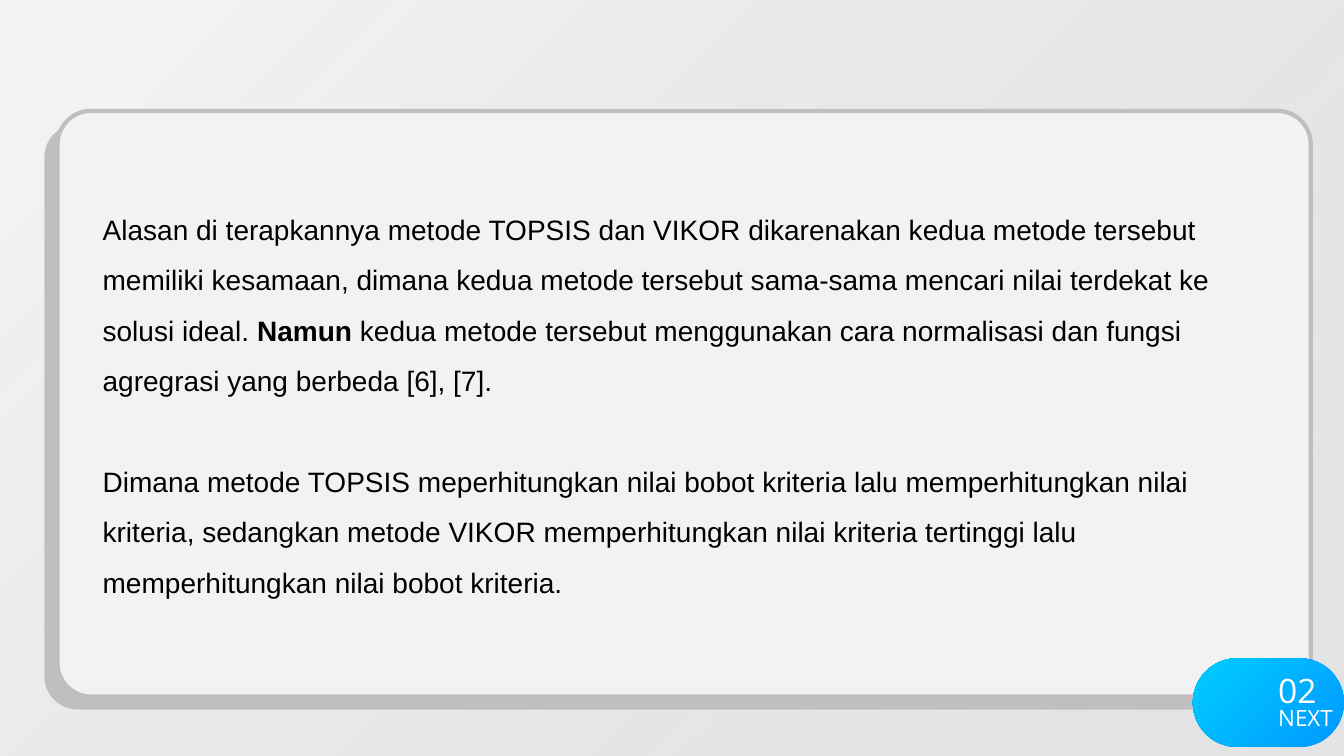
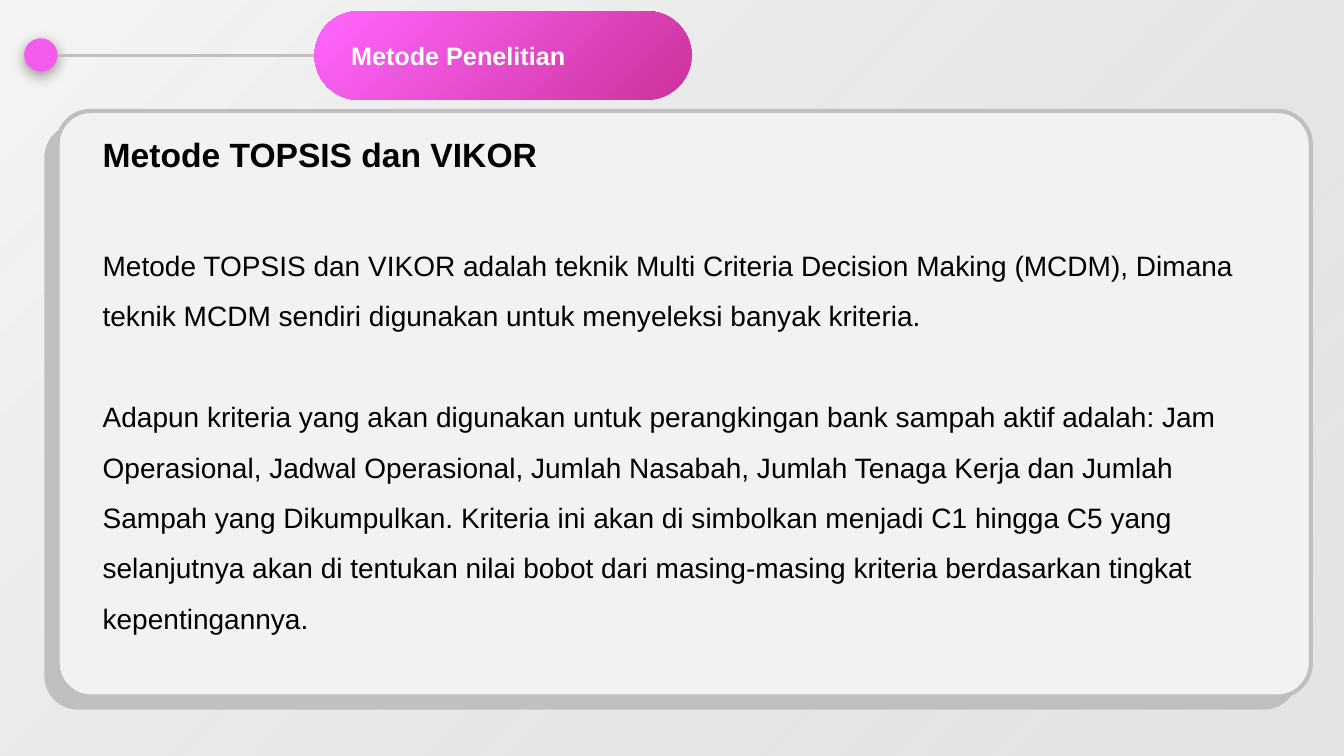
import pptx
import pptx.util
import pptx.dml.color
import pptx.enum.shapes
import pptx.enum.text
import pptx.oxml
import pptx.oxml.ns

Pt = pptx.util.Pt
rgb = pptx.dml.color.RGBColor.from_string
kinds = pptx.enum.shapes.MSO_SHAPE
qn = pptx.oxml.ns.qn
align = pptx.enum.text.PP_ALIGN

# Shared look
GREY, PALE, WHITE, BLACK = "BFBFBF", "F2F2F2", "FFFFFF", "000000"
PINK = "F35CEA"
FONT = "Arial"
EFFECT = '<a:effectLst xmlns:a="http://schemas.openxmlformats.org/drawingml/2006/main">%s</a:effectLst>'
SHADE = ('<a:outerShdw blurRad="127000" dist="38100" dir="5400000" algn="t" rotWithShape="0">'
         '<a:srgbClr val="000000"><a:alpha val="40000"/></a:srgbClr></a:outerShdw>')

deck = pptx.Presentation()
deck.slide_width = pptx.util.Inches(13.33)
deck.slide_height = pptx.util.Inches(7.5)

# Boxes are left, top, width, height in hundredths of the slide
col, row = deck.slide_width / 100, deck.slide_height / 100
units = (col, row, col, row)


def paint(page, kind, box, hues, curve=None):
    """Draw a shape; two hues make a gradient that ends at the top left."""
    part = page.shapes.add_shape(kind, *[int(n * u) for n, u in zip(box, units)])
    part.shadow.inherit = False
    part.line.fill.background()
    if curve is not None:
        part.adjustments[0] = curve
    if len(hues) == 1:
        part.fill.solid()
        part.fill.fore_color.rgb = rgb(hues[0])
    else:
        part.fill.gradient()
        part.fill.gradient_angle = 135
        for stop, hue in zip(part.fill.gradient_stops, hues):
            stop.color.rgb = rgb(hue)
    return part


def write(part, box, paras, hue=BLACK, font=FONT):
    """Fill a text part; each paragraph is (runs, size, line spacing, space before), runs are (text, bold)."""
    part.left, part.top, part.width, part.height = [int(n * u) for n, u in zip(box, units)]
    frame = part.text_frame
    frame.word_wrap = True
    frame.auto_size = pptx.enum.text.MSO_AUTO_SIZE.NONE
    frame.vertical_anchor = pptx.enum.text.MSO_ANCHOR.TOP
    for i, (runs, size, lead, gap) in enumerate(paras):
        para = frame.add_paragraph() if i else frame.paragraphs[0]
        para.line_spacing, para.space_before = lead, Pt(gap)
        for text, bold in runs:
            run = para.add_run()
            run.text = text
            run.font.name, run.font.size, run.font.bold = font, Pt(size), bold
            run.font.color.rgb = rgb(hue)


# Body text: box and paragraphs of each slide
reason = [
    ([("Alasan di terapkannya metode TOPSIS dan VIKOR dikarenakan kedua metode tersebut memiliki "
       "kesamaan, dimana kedua metode tersebut sama-sama mencari nilai terdekat ke solusi ideal. ", False),
      ("Namun", True),
      (" kedua metode tersebut menggunakan cara normalisasi dan fungsi agregrasi yang berbeda [6], [7].", False)],
     20, 1.5, 0),
    ([("Dimana metode TOPSIS meperhitungkan nilai bobot kriteria lalu memperhitungkan nilai kriteria, "
       "sedangkan metode VIKOR memperhitungkan nilai kriteria tertinggi lalu memperhitungkan nilai "
       "bobot kriteria.", False)], 20, 1.5, 36),
]
method = [
    ([("Metode TOPSIS dan VIKOR", True)], 24, 1.0, 0),
    ([("Metode TOPSIS dan VIKOR adalah teknik Multi Criteria Decision Making (MCDM), Dimana teknik MCDM "
       "sendiri digunakan untuk menyeleksi banyak kriteria.", False)], 20, 1.5, 41),
    ([("Adapun kriteria yang akan digunakan untuk perangkingan bank sampah aktif adalah: Jam Operasional, "
       "Jadwal Operasional, Jumlah Nasabah, Jumlah Tenaga Kerja dan Jumlah Sampah yang Dikumpulkan. "
       "Kriteria ini akan di simbolkan menjadi C1 hingga C5 yang selanjutnya akan di tentukan nilai bobot "
       "dari masing-masing kriteria berdasarkan tingkat kepentingannya.", False)], 20, 1.5, 36),
]

# Backdrop, card and body on both slides; layout 6 is blank, 5 is title only
pages = []
for layout, box, paras in [(6, (6.9, 25.2, 88.82, 55.2), reason),
                           (5, (6.9, 17.07, 88.82, 68.67), method)]:
    page = deck.slides.add_slide(deck.slide_layouts[layout])
    back = paint(page, kinds.RECTANGLE, (0, 0, 100, 100), (GREY, PALE))
    for tone, alpha in zip(back.fill._xPr.iter(qn("a:srgbClr")), (41000, 75000)):
        tone.append(pptx.oxml.parse_xml(
            '<a:alpha xmlns:a="http://schemas.openxmlformats.org/drawingml/2006/main" val="%d"/>' % alpha))
    paint(page, kinds.ROUNDED_RECTANGLE, (3.3, 16.4, 93.25, 77.47), [GREY], 0.057)
    card = paint(page, kinds.ROUNDED_RECTANGLE, (4.28, 14.67, 93.25, 77.47), [PALE], 0.057)
    card.line.color.rgb = rgb(GREY)
    card.line.width = Pt(3)
    write(page.shapes.add_textbox(0, 0, 0, 0), box, paras)
    pages.append(page)
first, second = pages

# Slide 1: badge at the lower right
paint(first, kinds.ROUNDED_RECTANGLE, (88.75, 87.07, 11.25, 11.73), ("0099FF", "00CCFF"), 0.5)
for text, size, top, high in [("02", 24, 88, 6.67), ("NEXT", 16, 92.53, 4.93)]:
    write(first.shapes.add_textbox(0, 0, 0, 0), (94.37, top, 5.63, high),
          [([(text, False)], size, 1.0, 0)], WHITE, "Open Sans")

# Slide 2: dot, line and pill
dot = paint(second, kinds.OVAL, (1.8, 5.07, 2.48, 4.4), [PINK])
props = dot._element.spPr
props.remove(props.find(qn("a:effectLst")))
props.append(pptx.oxml.parse_xml(EFFECT % SHADE))
ends = [int(n * u) for n, u in zip((4.28, 7.33, 23.4, 7.33), units)]
wire = second.shapes.add_connector(pptx.enum.shapes.MSO_CONNECTOR.STRAIGHT, *ends)
wire.line.color.rgb = rgb(GREY)
wire.line.width = Pt(2)
wire._element.spPr.append(pptx.oxml.parse_xml(EFFECT % ""))
paint(second, kinds.ROUNDED_RECTANGLE, (23.4, 1.47, 28.06, 11.73), ("CC3399", "FF66FF"), 0.5)

# Slide 2: title, brought in front of the pill
title = second.shapes.title
write(title, (23.63, 4.67, 20.93, 5.33), [([("Metode Penelitian", True)], 18, 1.0, 0)], WHITE)
title.text_frame.paragraphs[0].alignment = align.CENTER
second.shapes._spTree.append(title._element)

deck.save("out.pptx")
